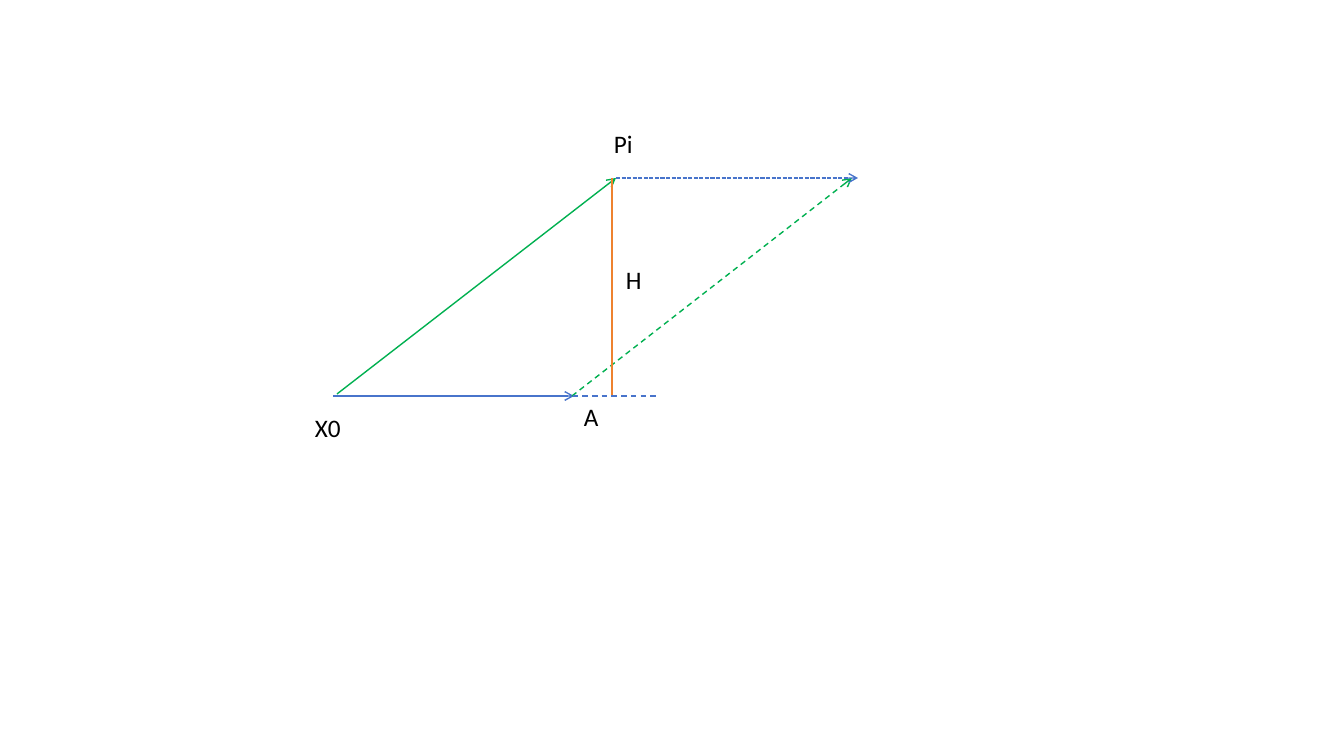
from lxml import etree
from pptx import Presentation
from pptx.dml.color import RGBColor
from pptx.enum.dml import MSO_LINE
from pptx.enum.shapes import MSO_CONNECTOR
from pptx.enum.text import MSO_AUTO_SIZE
from pptx.oxml.ns import qn
from pptx.util import Pt

PX = 914400 / 100.8
STRAIGHT = MSO_CONNECTOR.STRAIGHT
DASH, SHORT_DASH = MSO_LINE.DASH, MSO_LINE.SQUARE_DOT
FIT_SHAPE = MSO_AUTO_SIZE.SHAPE_TO_FIT_TEXT
COLORS = {"blue": "4874CB", "green": "00B050", "orange": "EE822F", "black": "000000"}
LABEL_FORMAT = {"name": "Calibri", "size": Pt(18)}


def px(*lengths):
    return [round(n * PX) for n in lengths]


prs = Presentation()
prs.slide_width, prs.slide_height = px(1344, 756)
s = prs.slides.add_slide(prs.slide_layouts[6])

# Vectors and height: start, end, colour, dash, arrowhead
BASE_Y, TOP_Y = 396, 178
LINES = [
    ((333, BASE_Y), (574, BASE_Y), "blue", None, True),
    ((337, 394), (616, TOP_Y), "green", None, True),
    ((572, BASE_Y), (852, TOP_Y), "green", DASH, True),
    ((616, TOP_Y), (858, TOP_Y), "blue", SHORT_DASH, True),
    ((612, TOP_Y), (612, BASE_Y), "orange", None, False),
    ((417, BASE_Y), (659, BASE_Y), "blue", DASH, False),
]
for start, end, color, dash, arrow in LINES:
    c = s.shapes.add_connector(STRAIGHT, *px(*start, *end))
    c.line.color.rgb = RGBColor.from_string(COLORS[color])
    c.line.width = Pt(1)
    if dash:
        c.line.dash_style = dash
    if arrow:
        etree.SubElement(c.line._get_or_add_ln(), qn("a:tailEnd"), type="arrow")
    etree.SubElement(c._element.spPr, qn("a:effectLst"))

# Point and height labels: text, left, top, width
LABELS = [("X0", 305, 407, 66), ("A", 574, 396, 42), ("Pi", 604, 123, 69), ("H", 616, 259, 42)]
for text, left, top, width in LABELS:
    tf = s.shapes.add_textbox(*px(left, top, width, 40)).text_frame
    tf.word_wrap = True
    tf.auto_size = FIT_SHAPE
    r = tf.paragraphs[0].add_run()
    r.text = text
    for key, value in LABEL_FORMAT.items():
        setattr(r.font, key, value)
    r.font.color.rgb = RGBColor.from_string(COLORS["black"])

prs.save("out.pptx")
